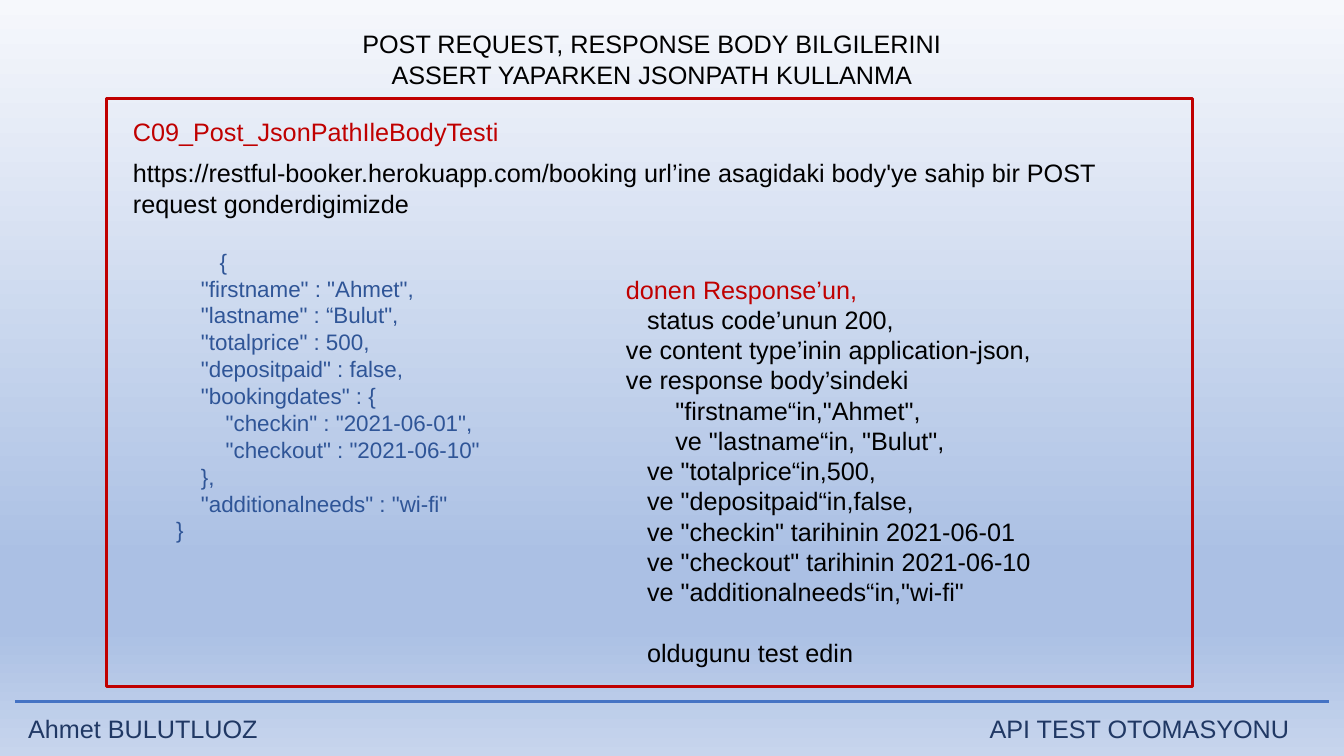
"""Build the slide on asserting POST response bodies with JsonPath."""
from copy import deepcopy
from lxml import etree
from pptx import Presentation
from pptx.dml.color import RGBColor
from pptx.enum import shapes, text
from pptx.oxml.ns import qn
from pptx.util import Inches, Pt

RED = RGBColor(0xC0, 0x00, 0x00)
BLACK = RGBColor(0x00, 0x00, 0x00)
NAVY = RGBColor(0x20, 0x38, 0x64)
BLUE = RGBColor(0x2F, 0x55, 0x97)
RULE = RGBColor(0x44, 0x72, 0xC4)
STOPS = [(0, "F6F8FC"), (74, "ABC0E4"), (83, "ABC0E4"), (100, "C7D5ED")]

CODE = '''              {
           "firstname" : "Ahmet",
           "lastname" : “Bulut",
           "totalprice" : 500,
           "depositpaid" : false,
           "bookingdates" : {
               "checkin" : "2021-06-01",
               "checkout" : "2021-06-10"
           },
           "additionalneeds" : "wi-fi"
       }'''
CHECKS = [
    (0, "donen Response’un,"),
    (0.21, "status code’unun 200,"),
    (0, "ve content type’inin application-json,"),
    (0, "ve response body’sindeki"),
    (0.49, '"firstname“in,"Ahmet",'),
    (0.49, 've "lastname“in, "Bulut",'),
    (0.21, 've "totalprice“in,500,'),
    (0.21, 've "depositpaid“in,false,'),
    (0.21, 've "checkin" tarihinin 2021-06-01'),
    (0.21, 've "checkout" tarihinin 2021-06-10'),
    (0.21, 've "additionalneeds“in,"wi-fi"'),
    (0.21, "oldugunu test edin"),
]

deck = Presentation()
deck.slide_width, deck.slide_height = Inches(13.33), Inches(7.5)
slide = deck.slides.add_slide(deck.slide_layouts[5])

fill = slide.background.fill
fill.gradient()
fill.gradient_angle = 270
stops = next(slide.element.iter(qn("a:gsLst")))
first = deepcopy(stops[0])
for stop in list(stops):
    stops.remove(stop)
for spot, _ in STOPS:
    stop = deepcopy(first)
    stop.set("pos", str(spot * 1000))
    stops.append(stop)
for stop, (_, tint) in zip(fill.gradient_stops, STOPS):
    stop.color.rgb = RGBColor.from_string(tint)


def place(box, left, top, width, height):
    """Set the box's place and return its text frame."""
    box.left, box.top = Inches(left), Inches(top)
    box.width, box.height = Inches(width), Inches(height)
    frame = box.text_frame
    frame.word_wrap = True
    frame.auto_size = text.MSO_AUTO_SIZE.NONE
    frame.vertical_anchor = text.MSO_ANCHOR.TOP
    return frame


def write(frame, words, color, size=18, pitch=21.6):
    """Add one paragraph, using the empty first one if it is free."""
    para = frame.paragraphs[0]
    if para.runs:
        para = frame.add_paragraph()
    para.line_spacing = Pt(pitch)
    run = para.add_run()
    run.text = words
    run.font.name, run.font.size = "Arial", Pt(size)
    run.font.color.rgb = color
    return para


title = place(slide.shapes.title, 3.26, 0.23, 6.41, 0.71)
para = write(title, "POST REQUEST, RESPONSE BODY BILGILERINI ASSERT YAPARKEN JSONPATH KULLANMA",
             BLACK, pitch=22)
para.alignment = text.PP_ALIGN.CENTER

rule = slide.shapes.add_connector(shapes.MSO_CONNECTOR.STRAIGHT,
                                  Inches(0.15), Inches(6.96), Inches(13.18), Inches(6.96))
rule.line.color.rgb = RULE
rule.line.width = Pt(2.25)
etree.SubElement(rule.element.spPr, qn("a:effectLst"))

panel = slide.shapes.add_shape(shapes.MSO_SHAPE.RECTANGLE,
                               Inches(1.06), Inches(0.98), Inches(10.77), Inches(5.83))
panel.shadow.inherit = False
panel.fill.background()
panel.line.color.rgb = RED
panel.line.width = Pt(2.25)

foot, head, task, code, tests = [
    place(slide.shapes.add_textbox(0, 0, 0, 0), *spot) for spot in [
        (0.18, 7.03, 13.03, 0.4),
        (1.22, 1.1, 4.09, 0.4),
        (1.22, 1.51, 10.49, 0.71),
        (1.22, 2.41, 4.5, 3.1),
        (6.11, 2.67, 4.48, 4.04),
    ]]

para = write(foot, "Ahmet BULUTLUOZ\tAPI TEST OTOMASYONU", NAVY)
tabs = etree.SubElement(para._p.get_or_add_pPr(), qn("a:tabLst"))
etree.SubElement(tabs, qn("a:tab"), pos=str(Inches(12.51)), algn="r")

write(head, "C09_Post_JsonPathIleBodyTesti", RED)
write(task, "https://restful-booker.herokuapp.com/booking url’ine asagidaki body'ye "
            "sahip bir POST request gonderdigimizde", BLACK, pitch=22)
for line in CODE.splitlines():
    write(code, line, BLUE, 16, 19.2)
for row, (shift, words) in enumerate(CHECKS):
    para = write(tests, words, BLACK if row else RED)
    para._p.get_or_add_pPr().set("marL", str(Inches(shift)))
para.space_before = Pt(21.6)

deck.save("out.pptx")
